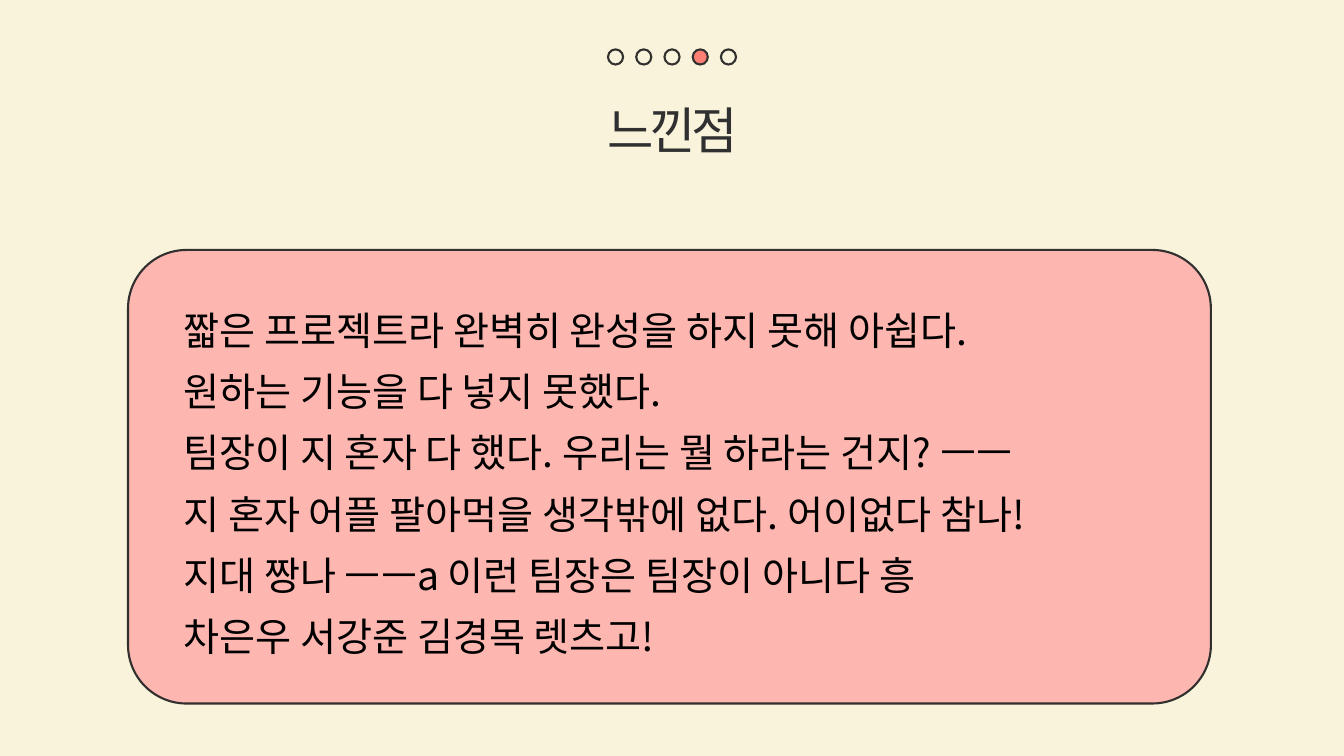
from lxml import etree
from pptx import Presentation
from pptx.dml.color import RGBColor
from pptx.enum.shapes import MSO_SHAPE
from pptx.enum.text import PP_ALIGN
from pptx.oxml.ns import qn
from pptx.util import Inches, Pt

RECTANGLE = MSO_SHAPE.RECTANGLE
OVAL = MSO_SHAPE.OVAL
ROUNDED = MSO_SHAPE.ROUNDED_RECTANGLE
LEFT = PP_ALIGN.LEFT
CENTER = PP_ALIGN.CENTER

CREAM = "F9F3DB"
CORAL = "FE7F74"
PINK = "FEB6B0"
OUTLINE = "31302F"
TITLE_INK = "303031"
BLACK = "000000"

REFLECTIONS = [
    "짧은 프로젝트라 완벽히 완성을 하지 못해 아쉽다.",
    "원하는 기능을 다 넣지 못했다.",
    "팀장이 지 혼자 다 했다. 우리는 뭘 하라는 건지? ㅡㅡ",
    "지 혼자 어플 팔아먹을 생각밖에 없다. 어이없다 참나!",
    "지대 짱나 ㅡㅡa 이런 팀장은 팀장이 아니다 흥",
    "차은우 서강준 김경목 렛츠고!",
]


def color(hex_value):
    return RGBColor.from_string(hex_value)


def write(frame, lines, size=28, ink=BLACK, font="Noto Sans CJK KR",
          align=LEFT, line_spacing=1.0, tracking=0):
    frame.word_wrap = True
    for index, line in enumerate(lines):
        paragraph = frame.add_paragraph() if index else frame.paragraphs[0]
        paragraph.alignment = align
        paragraph.line_spacing = line_spacing
        run = paragraph.add_run()
        run.text = line
        run.font.size = Pt(size)
        run.font.name = font
        run.font.color.rgb = color(ink)
        properties = run.font._element
        etree.SubElement(properties, qn("a:ea")).set("typeface", font)
        if tracking:
            properties.set("spc", str(tracking * 100))


class SlideBuilder:
    def __init__(self, slide, outline=OUTLINE, outline_width=1.5):
        self.slide = slide
        self.outline = outline
        self.outline_width = outline_width

    def shape(self, kind, left, top, width, height, fill, outlined=True, rounding=None):
        shape = self.slide.shapes.add_shape(
            kind, Inches(left), Inches(top), Inches(width), Inches(height))
        shape.shadow.inherit = False
        shape.fill.solid()
        shape.fill.fore_color.rgb = color(fill)
        if outlined:
            shape.line.color.rgb = color(self.outline)
            shape.line.width = Pt(self.outline_width)
        else:
            shape.line.fill.background()
        if rounding is not None:
            shape.adjustments[0] = rounding

    def text(self, left, top, width, height, lines, **style):
        box = self.slide.shapes.add_textbox(
            Inches(left), Inches(top), Inches(width), Inches(height))
        write(box.text_frame, lines, **style)


presentation = Presentation()
presentation.slide_width = Inches(13.33)
presentation.slide_height = Inches(7.5)
builder = SlideBuilder(presentation.slides.add_slide(presentation.slide_layouts[6]))

builder.shape(RECTANGLE, 0, 0, 13.33, 7.5, CREAM, outlined=False)
builder.text(2.06, 0.93, 9.22, 0.71, ["느낀점"],
             size=36, ink=TITLE_INK, align=CENTER, tracking=-3)

STEP_COUNT, CURRENT_STEP = 5, 3
for step in range(STEP_COUNT):
    builder.shape(OVAL, 6.03 + 0.28 * step, 0.49, 0.15, 0.15,
                  CORAL if step == CURRENT_STEP else CREAM)

builder.shape(ROUNDED, 1.27, 2.48, 10.74, 4.5, PINK, rounding=0.129)
builder.text(1.72, 2.85, 10.05, 4.39, REFLECTIONS, line_spacing=1.3)

presentation.save("out.pptx")
